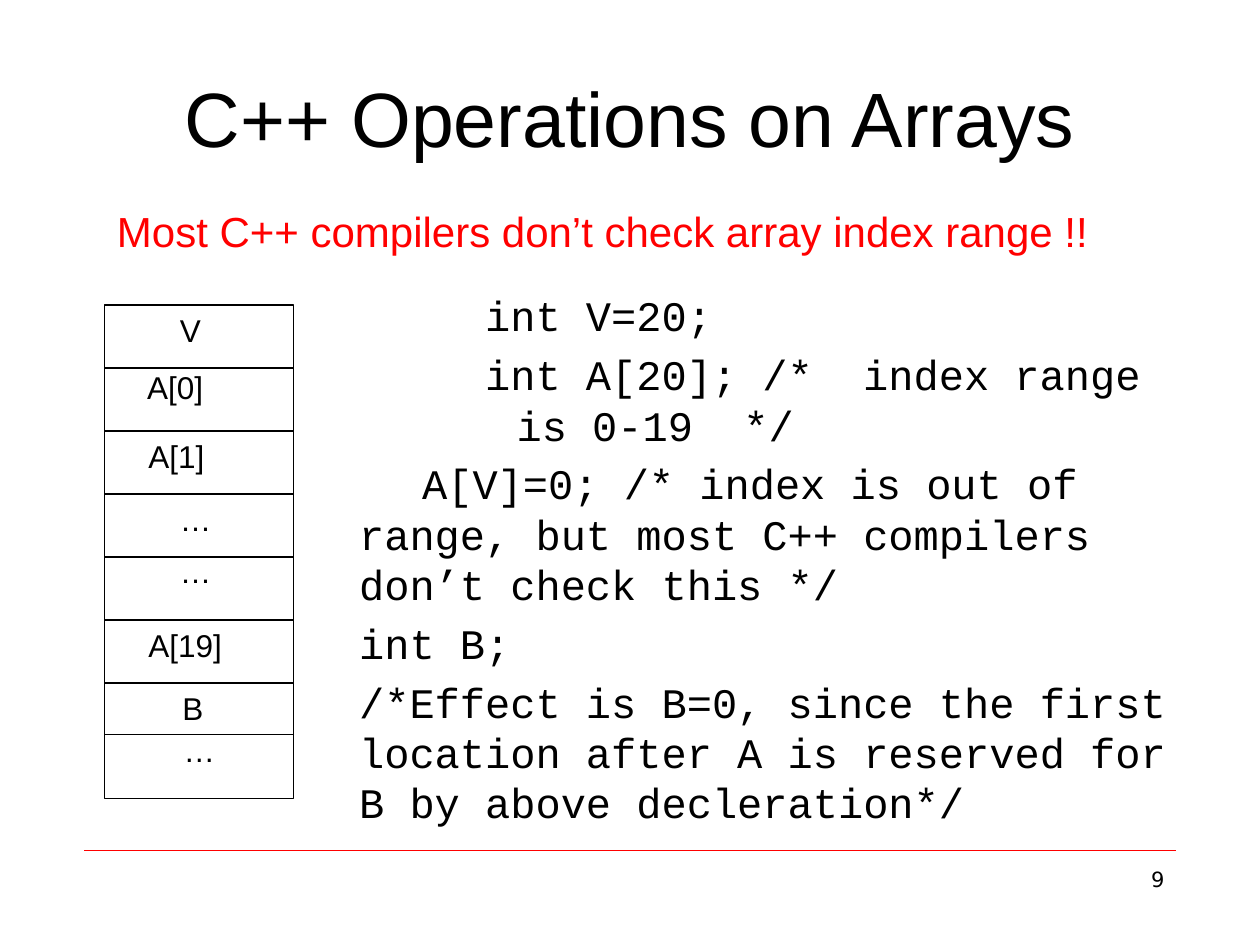
from dataclasses import dataclass

from lxml.etree import SubElement
from pptx import Presentation
from pptx.dml.color import RGBColor
from pptx.enum.shapes import MSO_CONNECTOR, MSO_SHAPE
from pptx.enum.text import MSO_ANCHOR, MSO_AUTO_SIZE, PP_ALIGN
from pptx.oxml.ns import qn
from pptx.util import Inches, Pt

BLACK = "000000"
RED = "FF0000"
MEMORY_LEFT, MEMORY_TOP, MEMORY_WIDTH, MEMORY_HEIGHT = 0.83, 2.42, 1.5, 3.92
CELL_HEIGHT = 0.5


@dataclass
class Label:
    text: str
    left: float
    top: float
    width: float


@dataclass
class CodeLine:
    text: str
    margin: float = 0
    indent: float = 0


LABELS = [
    Label("V", 1.33, 2.42, 0.4),
    Label("A[0]", 1.07, 2.87, 0.84),
    Label("A[1]", 1.08, 3.42, 0.84),
    Label("…", 1.33, 3.92, 0.47),
    Label("…", 1.33, 4.33, 0.47),
    Label("A[19]", 1.08, 4.92, 1.02),
    Label("B", 1.35, 5.42, 0.4),
    Label("…", 1.36, 5.75, 0.47),
]

CODE = [
    CodeLine("int V=20;", 1.25, -0.25),
    CodeLine("int A[20]; /*  index range is 0-19  */", 1.25, -0.25),
    CodeLine("\tA[V]=0; /* index is out of range, but most C++ compilers don’t check this */"),
    CodeLine("int B;"),
    CodeLine("/*Effect is B=0, since the first location after A is reserved for B by above decleration*/"),
]


def color(value: str) -> RGBColor:
    return RGBColor.from_string(value)


def place(shape, left: float, top: float, width: float, height: float) -> None:
    shape.left, shape.top = Inches(left), Inches(top)
    shape.width, shape.height = Inches(width), Inches(height)


def style(paragraph, size: float, name: str = "Arial", value: str = BLACK) -> None:
    paragraph.font.size = Pt(size)
    paragraph.font.name = name
    paragraph.font.color.rgb = color(value)


def add_text(page, label: Label, size: float, name: str = "Arial", value: str = BLACK,
             alignment: PP_ALIGN = PP_ALIGN.LEFT) -> None:
    box = page.shapes.add_textbox(Inches(label.left), Inches(label.top),
                                  Inches(label.width), Inches(0.5))
    box.text_frame.word_wrap = True
    paragraph = box.text_frame.paragraphs[0]
    paragraph.text = label.text
    paragraph.alignment = alignment
    style(paragraph, size, name, value)


def add_rule(page, left: float, top: float, width: float, weight: float, value: str) -> None:
    rule = page.shapes.add_connector(MSO_CONNECTOR.STRAIGHT, Inches(left), Inches(top),
                                     Inches(left + width), Inches(top))
    rule.line.color.rgb = color(value)
    rule.line.width = Pt(weight)
    SubElement(rule._element.spPr, qn("a:effectLst"))


def fill_title(title) -> None:
    place(title, 0.5, 0.3, 9, 1.25)
    title.text_frame.vertical_anchor = MSO_ANCHOR.MIDDLE
    paragraph = title.text_frame.paragraphs[0]
    paragraph.text = "C++ Operations on Arrays"
    paragraph.alignment = PP_ALIGN.CENTER
    style(paragraph, 44)


def fill_code(body) -> None:
    place(body, 2.75, 2.25, 6.92, 4.25)
    frame = body.text_frame
    frame.auto_size = MSO_AUTO_SIZE.NONE
    for index, line in enumerate(CODE):
        paragraph = frame.paragraphs[0] if index == 0 else frame.add_paragraph()
        paragraph.text = line.text
        paragraph.space_before = Pt(4.8)
        style(paragraph, 24, "Courier New")
        properties = paragraph._p.get_or_add_pPr()
        properties.set("marL", str(Inches(line.margin)))
        properties.set("indent", str(Inches(line.indent)))
        bullet = properties.makeelement(qn("a:buNone"))
        properties.find(qn("a:spcBef")).addnext(bullet)


def draw_memory(page) -> None:
    frame = page.shapes.add_shape(MSO_SHAPE.RECTANGLE, Inches(MEMORY_LEFT), Inches(MEMORY_TOP),
                                  Inches(MEMORY_WIDTH), Inches(MEMORY_HEIGHT))
    frame.shadow.inherit = False
    frame.fill.background()
    frame.line.color.rgb = color(BLACK)
    frame.line.width = Pt(0.75)
    dividers = [MEMORY_TOP + CELL_HEIGHT * row for row in range(1, 7)] + [5.83]
    for top in dividers:
        add_rule(page, MEMORY_LEFT, top, MEMORY_WIDTH, 0.75, BLACK)
    for label in LABELS:
        add_text(page, label, 18)


def main() -> None:
    deck = Presentation()
    deck.slide_width, deck.slide_height = Inches(10), Inches(7.5)
    page = deck.slides.add_slide(deck.slide_layouts[1])
    add_rule(page, 0.67, 6.75, 8.66, 0.25, RED)
    add_text(page, Label("9", 7.17, 6.83, 2.17), 12, "DejaVu Sans", alignment=PP_ALIGN.RIGHT)
    fill_title(page.shapes.title)
    fill_code(page.placeholders[1])
    draw_memory(page)
    add_text(page, Label("Most C++ compilers don’t check array index range !!", 0.83, 1.58, 8.67),
             24, value=RED)
    deck.save("out.pptx")


if __name__ == "__main__":
    main()
